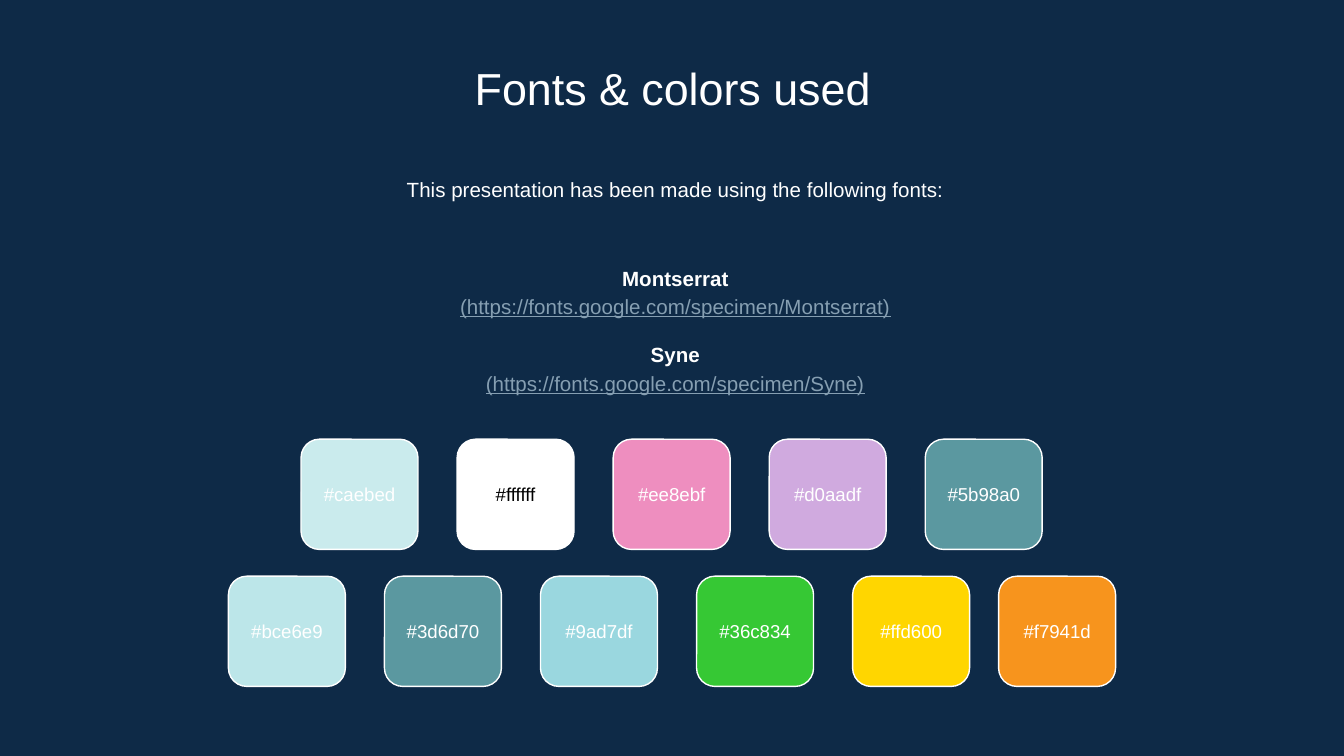
from dataclasses import dataclass
from typing import Optional

from pptx import Presentation
from pptx.dml.color import RGBColor
from pptx.enum.shapes import MSO_SHAPE
from pptx.enum.text import MSO_ANCHOR, PP_ALIGN
from pptx.slide import Slide
from pptx.text.text import TextFrame
from pptx.util import Pt


@dataclass(frozen=True)
class Theme:
    font: str = "Arial"
    background: str = "0E2A47"
    text: str = "FFFFFF"
    dark_text: str = "000000"
    link: str = "869FB2"
    outline: str = "FFFFFF"
    title_size: float = 24
    body_size: float = 11
    label_size: float = 10


@dataclass(frozen=True)
class Line:
    text: str
    size: float
    color: str
    bold: bool = False
    underline: bool = False
    spacing: float = 1.0
    before: float = 0


@dataclass(frozen=True)
class Swatch:
    label: str
    fill: Optional[str] = None
    text_color: Optional[str] = None


@dataclass(frozen=True)
class SwatchRow:
    left: float
    top: float
    swatches: tuple[Swatch, ...]


THEME = Theme()
INSET = 7.2
SWATCH_WIDTH = 62.64
SWATCH_HEIGHT = 59.04
SWATCH_PITCH = 83.6
CORNER = 0.167

FONTS = (
    ("Montserrat", "(https://fonts.google.com/specimen/Montserrat)", 0),
    ("Syne", "(https://fonts.google.com/specimen/Syne)", 10.7),
)

ROWS = (
    SwatchRow(161.3, 235.3, (
        Swatch("#caebed"),
        Swatch("#ffffff", text_color=THEME.dark_text),
        Swatch("#ee8ebf"),
        Swatch("#d0aadf"),
        Swatch("#5b98a0"),
    )),
    SwatchRow(122.4, 308.7, (
        Swatch("#bce6e9"),
        Swatch("#3d6d70", fill="5B98A0"),
        Swatch("#9ad7df"),
        Swatch("#36c834"),
        Swatch("#ffd600"),
    )),
    SwatchRow(535, 308.7, (Swatch("#f7941d"),)),
)


def rgb(color: str) -> RGBColor:
    return RGBColor.from_string(color.upper())


def write_lines(frame: TextFrame, lines: list[Line], anchor: MSO_ANCHOR) -> None:
    frame.word_wrap = True
    frame.vertical_anchor = anchor
    frame.margin_left = frame.margin_right = Pt(INSET)
    frame.margin_top = frame.margin_bottom = Pt(INSET)
    for index, line in enumerate(lines):
        paragraph = frame.add_paragraph() if index else frame.paragraphs[0]
        paragraph.text = line.text
        paragraph.alignment = PP_ALIGN.CENTER
        paragraph.line_spacing = line.spacing
        if line.before:
            paragraph.space_before = Pt(line.before)
        font = paragraph.font
        font.name = THEME.font
        font.size = Pt(line.size)
        font.bold = line.bold
        font.underline = line.underline
        font.color.rgb = rgb(line.color)


def add_text(page: Slide, left: float, top: float, width: float, height: float,
             lines: list[Line], anchor: MSO_ANCHOR = MSO_ANCHOR.TOP) -> None:
    box = page.shapes.add_textbox(Pt(left), Pt(top), Pt(width), Pt(height))
    write_lines(box.text_frame, lines, anchor)


def add_swatch(page: Slide, left: float, top: float, swatch: Swatch) -> None:
    tile = page.shapes.add_shape(MSO_SHAPE.ROUNDED_RECTANGLE, Pt(left), Pt(top),
                                 Pt(SWATCH_WIDTH), Pt(SWATCH_HEIGHT))
    tile.adjustments[0] = CORNER
    tile.shadow.inherit = False
    tile.fill.solid()
    tile.fill.fore_color.rgb = rgb(swatch.fill or swatch.label.lstrip("#"))
    tile.line.color.rgb = rgb(THEME.outline)
    tile.line.width = Pt(0.75)
    label = Line(swatch.label, THEME.label_size, swatch.text_color or THEME.text)
    write_lines(tile.text_frame, [label], MSO_ANCHOR.MIDDLE)


def add_row(page: Slide, row: SwatchRow) -> None:
    for index, swatch in enumerate(row.swatches):
        add_swatch(page, row.left + index * SWATCH_PITCH, row.top, swatch)


def font_lines() -> list[Line]:
    lines = []
    for name, address, before in FONTS:
        lines.append(Line(name, THEME.body_size, THEME.text, bold=True,
                          spacing=1.15, before=before))
        lines.append(Line(address, THEME.body_size, THEME.link, underline=True,
                          spacing=1.15))
    return lines


def main() -> None:
    deck = Presentation()
    deck.slide_width = Pt(720)
    deck.slide_height = Pt(405)
    page = deck.slides.add_slide(deck.slide_layouts[6])
    page.background.fill.solid()
    page.background.fill.fore_color.rgb = rgb(THEME.background)

    add_text(page, 82.8, 25.2, 555.12, 38.16,
             [Line("Fonts & colors used", THEME.title_size, THEME.text)])
    add_text(page, 84.24, 85.68, 555.12, 34.56,
             [Line("This presentation has been made using the following fonts:",
                   THEME.body_size, THEME.text, spacing=1.15)])
    add_text(page, 84.24, 126.72, 555.12, 98.64, font_lines(), MSO_ANCHOR.MIDDLE)
    for row in ROWS:
        add_row(page, row)

    deck.save("out.pptx")


if __name__ == "__main__":
    main()
